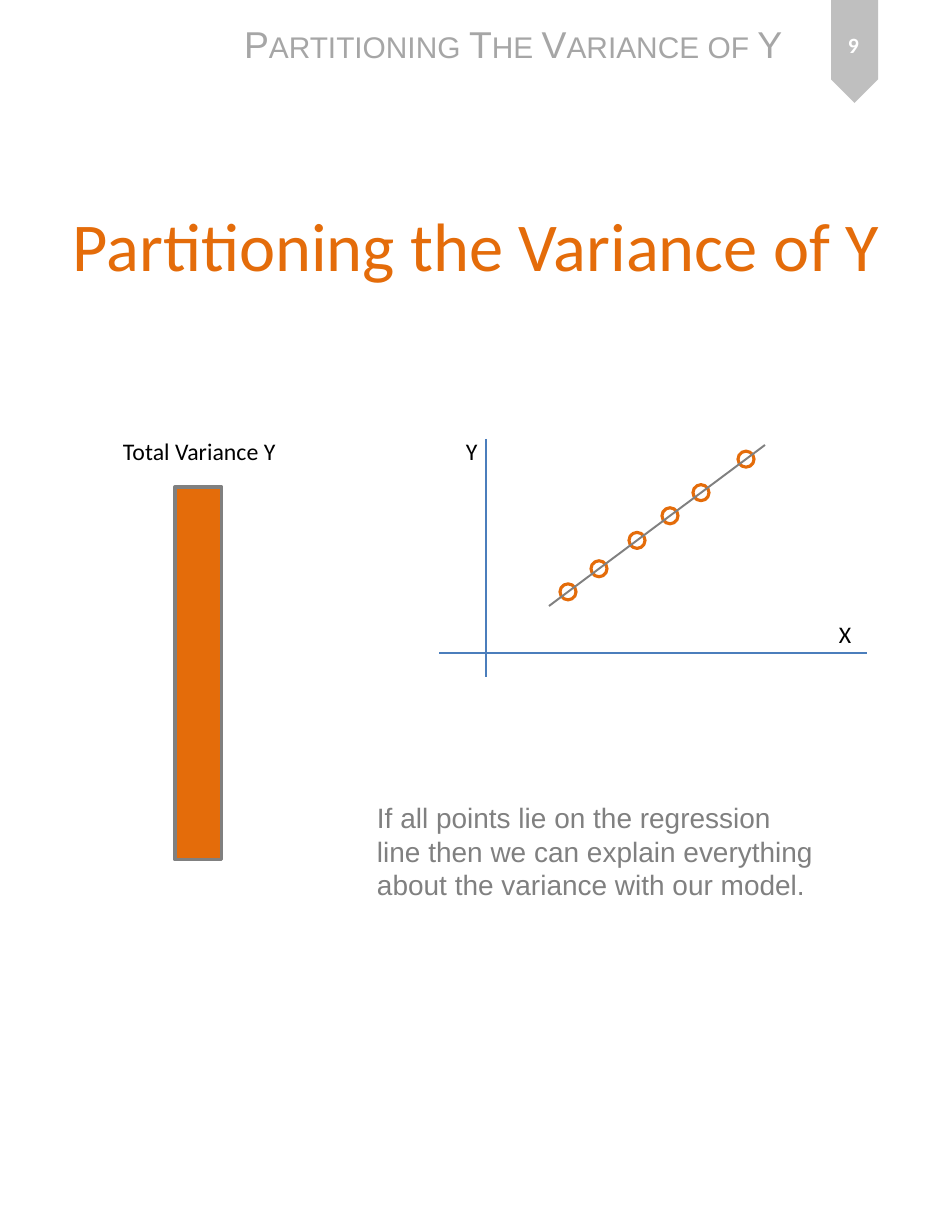
from pptx import Presentation
from pptx.dml.color import RGBColor
from pptx.enum.shapes import MSO_CONNECTOR, MSO_SHAPE
from pptx.enum.text import MSO_ANCHOR, PP_ALIGN
from pptx.oxml.ns import qn
from pptx.util import Emu, Pt
from lxml.etree import SubElement

ORANGE = RGBColor(0xE4, 0x6C, 0x0A)
GRAY = RGBColor(0x80, 0x80, 0x80)
HEADER_GRAY = RGBColor(0xA6, 0xA6, 0xA6)
TAG_GRAY = RGBColor(0xBF, 0xBF, 0xBF)
BLUE = RGBColor(0x4B, 0x7E, 0xBC)
BLACK = RGBColor(0, 0, 0)
WHITE = RGBColor(255, 255, 255)
PX = 914400 / 112


def px(*values):
    return [Emu(round(v * PX)) for v in values]


def add_text(box, text, size, font, color, wrap=False, centered=False):
    tf = s.shapes.add_textbox(*px(*box)).text_frame
    tf.word_wrap = wrap
    p = tf.paragraphs[0]
    p.text = text
    if centered:
        tf.vertical_anchor = MSO_ANCHOR.MIDDLE
        p.alignment = PP_ALIGN.CENTER
    r = p.runs[0]
    r.font.size = Pt(size)
    r.font.name = font
    r.font.color.rgb = color
    return r


prs = Presentation()
prs.slide_width, prs.slide_height = px(952, 1232)
s = prs.slides.add_slide(prs.slide_layouts[6])

# Page tag and running header
tag = s.shapes.add_shape(MSO_SHAPE.PENTAGON, *px(803, 28, 103, 47))
tag.rotation = 90
tag.shadow.inherit = False
tag.fill.solid()
tag.fill.fore_color.rgb = TAG_GRAY
tag.line.fill.background()
header = add_text((233, 16, 567, 56), "Partitioning The Variance of Y", 24, "Arial", HEADER_GRAY)
header.font._element.set("cap", "small")
number = add_text((816, 12, 75, 66), "9", 14, "Calibri", WHITE, wrap=True, centered=True)
number.font.bold = True

# Title
add_text((48, 142, 857, 205), "Partitioning the Variance of Y", 44, "Calibri", ORANGE,
         wrap=True, centered=True)

# Total variance bar
bar = s.shapes.add_shape(MSO_SHAPE.RECTANGLE, *px(175, 487, 47, 373))
bar.shadow.inherit = False
bar.fill.solid()
bar.fill.fore_color.rgb = ORANGE
bar.line.color.rgb = GRAY
bar.line.width = Pt(2)

# Explanation
add_text((366, 795, 466, 113),
         "If all points lie on the regression line then we can explain everything "
         "about the variance with our model.", 18, "Arial", GRAY, wrap=True)

# Points lying on the regression line
x1, y1, x2, y2 = 549, 606, 765, 445
d = 16
for x in (568, 599, 637, 670, 701, 746):
    y = y1 + (x - x1) * (y2 - y1) / (x2 - x1)
    sp = s.shapes.add_shape(MSO_SHAPE.OVAL, *px(x - d / 2, y - d / 2, d, d))
    sp.shadow.inherit = False
    sp.fill.background()
    sp.line.color.rgb = ORANGE
    sp.line.width = Pt(2)

# Axes and regression line
for ends, color, width in (
    ((486, 439, 486, 677), BLUE, 0.75),
    ((867, 653, 439, 653), BLUE, 0.75),
    ((x1, y1, x2, y2), GRAY, 1.25),
):
    line = s.shapes.add_connector(MSO_CONNECTOR.STRAIGHT, *px(*ends))
    line.line.color.rgb = color
    line.line.width = Pt(width)
    SubElement(line._element.spPr, qn("a:effectLst"))

# Bar and axis labels
for text, box in (
    ("Total Variance Y", (112, 431, 177, 40)),
    ("Y", (455, 431, 35, 40)),
    ("X", (828, 614, 35, 40)),
):
    add_text(box, text, 15.3, "Calibri", BLACK)

prs.save("out.pptx")
